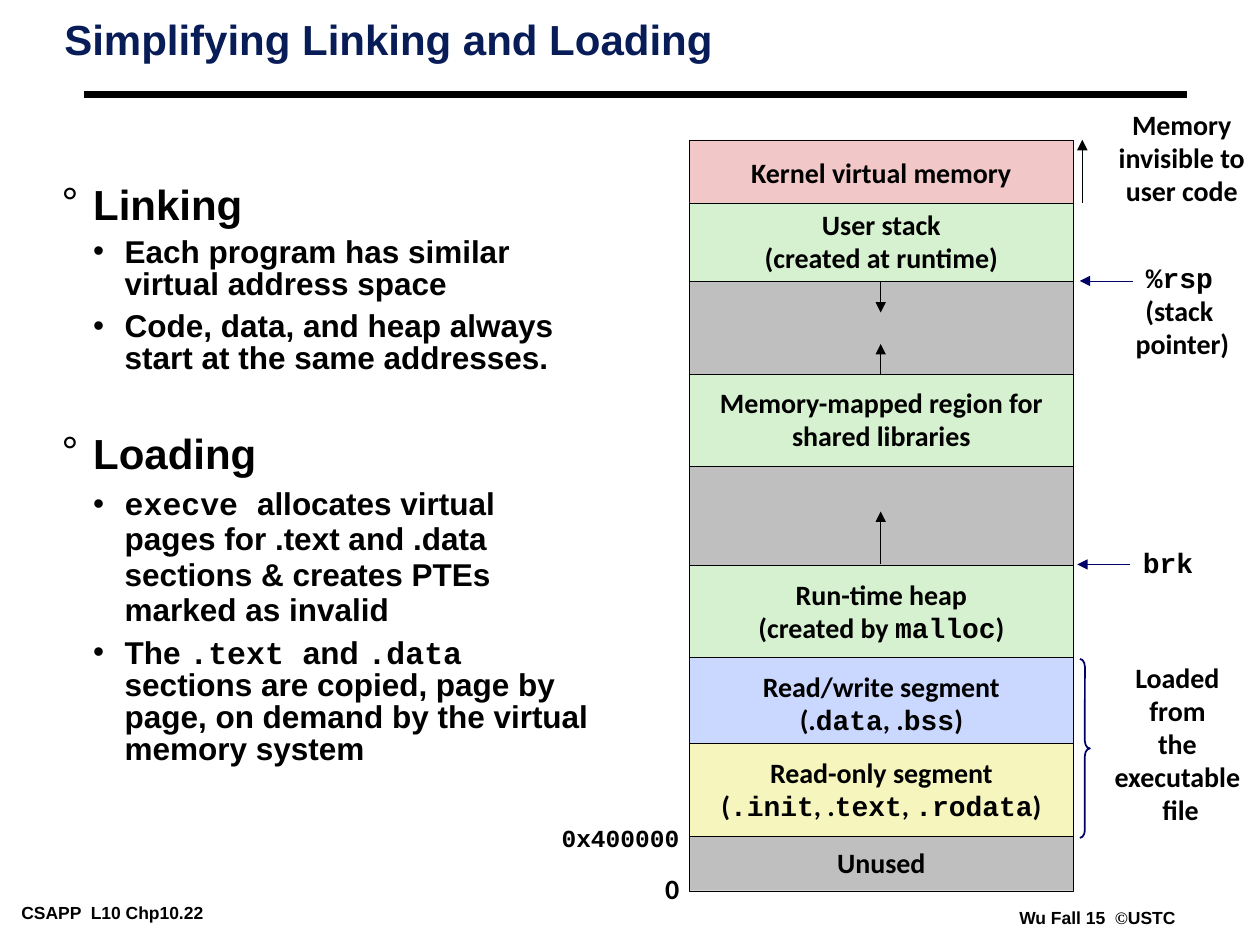
from lxml import etree
from pptx import Presentation
from pptx import util as u
from pptx.dml import color
from pptx.enum import shapes, text
from pptx.oxml import ns

PX = 9144
BLACK, NAVY, LABEL_BLUE = "000000", "081D58", "000066"
GREY, GREEN = "BFBFBF", "D5F1CF"
SANS, MONO, BODY = "Calibri", "Courier New", "Arial"


def px(*lengths):
    return [u.Emu(length * PX) for length in lengths]


def rgb(value):
    return color.RGBColor.from_string(value)


def child(parent, tag, **attributes):
    return etree.SubElement(parent, ns.qn(tag), attributes)


def add_run(paragraph, words, size, font, ink=BLACK):
    run = paragraph.add_run()
    run.text = words
    run.font.size = u.Pt(size)
    run.font.name = font
    run.font.bold = True
    run.font.color.rgb = rgb(ink)


def add_marked_runs(paragraph, marked, size, font):
    for index, words in enumerate(marked.split("`")):
        if words:
            add_run(paragraph, words, size, MONO if index % 2 else font)


def set_frame(frame, side, end, wrap=False, anchor=text.MSO_ANCHOR.TOP):
    frame.margin_left = frame.margin_right = px(side)[0]
    frame.margin_top = frame.margin_bottom = px(end)[0]
    frame.word_wrap = wrap
    frame.vertical_anchor = anchor


def paragraphs(frame, count):
    return [frame.paragraphs[0]] + [frame.add_paragraph() for _ in range(count - 1)]


def write_centred(frame, lines, size=16, anchor=text.MSO_ANCHOR.TOP):
    set_frame(frame, 10, 5, anchor=anchor)
    for paragraph, line in zip(paragraphs(frame, len(lines)), lines):
        paragraph.alignment = text.PP_ALIGN.CENTER
        paragraph.line_spacing = 0.94 if line.startswith("`") else 0.98
        add_marked_runs(paragraph, line, size, SANS)


def add_label(slide, box, lines, size=16):
    frame = slide.shapes.add_textbox(*px(*box)).text_frame
    write_centred(frame, lines, size)
    frame.auto_size = text.MSO_AUTO_SIZE.SHAPE_TO_FIT_TEXT


def add_line(slide, start, end, ink=BLACK, weight=0.25, arrow=True):
    line = slide.shapes.add_connector(shapes.MSO_CONNECTOR.STRAIGHT, *px(*start, *end))
    line.line.color.rgb = rgb(ink)
    line.line.width = u.Pt(weight)
    if arrow:
        child(line.line._get_or_add_ln(), "a:tailEnd", type="triangle")
    child(line._element.spPr, "a:effectLst")


def add_title(slide, box):
    title = slide.shapes.title
    title.left, title.top, title.width, title.height = px(*box)
    set_frame(title.text_frame, 7, 3, wrap=True)
    paragraph = title.text_frame.paragraphs[0]
    paragraph.alignment = text.PP_ALIGN.LEFT
    paragraph.line_spacing = 0.87
    add_run(paragraph, "Simplifying Linking and Loading", 24, BODY, NAVY)


def add_footer(slide, box, runs):
    frame = slide.shapes.add_textbox(*px(*box)).text_frame
    set_frame(frame, 7, 3)
    for words, font in runs:
        add_run(frame.paragraphs[0], words, 10, font)


def add_outline(slide, box):
    topics = [
        (0, 0.75, 0, "Linking"),
        (1, 0.85, 5.6, "Each program has similar virtual address space"),
        (1, 0.85, 5.6, "Code, data, and heap always start at the same addresses."),
        (0, 0.75, 36, "Loading"),
        (1, 0.94, 5.6, "`execve `allocates virtual pages for .text and .data "
                       "sections & creates PTEs marked as invalid"),
        (1, 0.85, 5.6, "The `.text `and `.data `sections are copied, page by page, "
                       "on demand by the virtual memory system"),
    ]
    frame = slide.shapes.add_textbox(*px(*box)).text_frame
    set_frame(frame, 7, 3, wrap=True)
    for paragraph, (level, spacing, before, words) in zip(paragraphs(frame, len(topics)), topics):
        properties = paragraph._p.get_or_add_pPr()
        properties.set("marL", str(25 * (level + 1) * PX))
        properties.set("indent", str(-25 * PX))
        child(child(properties, "a:buClr"), "a:srgbClr", val=BLACK)
        child(properties, "a:buFont", typeface=BODY)
        child(properties, "a:buChar", char="°•"[level])
        paragraph.level = level
        paragraph.line_spacing = spacing
        paragraph.space_before = u.Pt(before)
        add_marked_runs(paragraph, words, 18 if level else 24, BODY)


def add_memory_map(slide, box):
    left, top, width = box
    segments = [
        (0, 53, "F1C7C7", ["Kernel virtual memory"]),
        (87, 99, GREY, []),
        (50, 62, GREEN, ["User stack", "(created at runtime)"]),
        (186, 73, GREEN, ["Memory-mapped region for", "shared libraries"]),
        (259, 79, GREY, []),
        (338, 73, GREEN, ["Run-time heap", "(created by `malloc`)"]),
        (411, 73, "CAD7FE", ["Read/write segment", "(.`data`, .`bss`)"]),
        (479, 74, "F6F5BD", ["Read-only segment", "(`.init`, .`text`, `.rodata`)"]),
        (553, 43, GREY, ["Unused"]),
    ]
    for offset, height, fill, lines in segments:
        segment = slide.shapes.add_shape(
            shapes.MSO_SHAPE.RECTANGLE, *px(left, top + offset, width, height))
        segment.shadow.inherit = False
        segment.fill.solid()
        segment.fill.fore_color.rgb = rgb(fill)
        segment.line.color.rgb = rgb(BLACK)
        segment.line.width = u.Pt(0.25)
        if lines:
            write_centred(segment.text_frame, lines, anchor=text.MSO_ANCHOR.MIDDLE)

    growth = left + 152
    for start, end in [(112, 137), (187, 162), (337, 295)]:
        add_line(slide, (growth, top + start), (growth, top + end))

    add_label(slide, (left - 114, top + 539, 119, 32), ["`0x400000`"], 14)
    add_label(slide, (left - 29, top + 577, 31, 36), ["0"])


def add_map_notes(slide, box):
    left, top = box
    add_line(slide, (left + 4, top + 50), (left + 4, top))
    add_label(slide, (left + 23, top - 29, 120, 89), ["Memory", "invisible to", "user code"])

    for start, end, height in [(44, 2, 112), (42, 0, 337)]:
        add_line(slide, (left + start, top + height), (left + end, top + height), LABEL_BLUE)
    add_label(slide, (left + 36, top + 93, 95, 88), ["`%rsp` ", "(stack ", "pointer)"])
    add_label(slide, (left + 42, top + 319, 60, 35), ["`brk`"])

    brace = slide.shapes.add_shape(
        shapes.MSO_SHAPE.RIGHT_BRACE, *px(left + 2, top + 412, 8, 142))
    brace.adjustments[0] = 0.75
    brace.shadow.inherit = False
    brace.fill.background()
    brace.line.color.rgb = rgb(LABEL_BLUE)
    brace.line.width = u.Pt(1)
    add_label(slide, (left + 19, top + 410, 126, 141),
              ["Loaded ", "from ", "the ", "executable ", "file"])


def main():
    deck = Presentation()
    deck.slide_width, deck.slide_height = px(1000, 750)
    slide = deck.slides.add_slide(deck.slide_layouts[5])
    add_footer(slide, (10, 713, 210, 22), [("CSAPP  L10 Chp10.22", BODY)])
    add_footer(slide, (802, 717, 138, 22),
               [("Wu Fall 15  ", BODY), ("©", "Times New Roman"), ("USTC", BODY)])
    add_line(slide, (67, 75), (942, 75), weight=4.5, arrow=False)
    add_title(slide, (44, 13, 906, 86))
    add_outline(slide, (42, 148, 433, 523))
    add_memory_map(slide, (547, 111, 305))
    add_map_notes(slide, (855, 111))
    deck.save("out.pptx")


if __name__ == "__main__":
    main()
